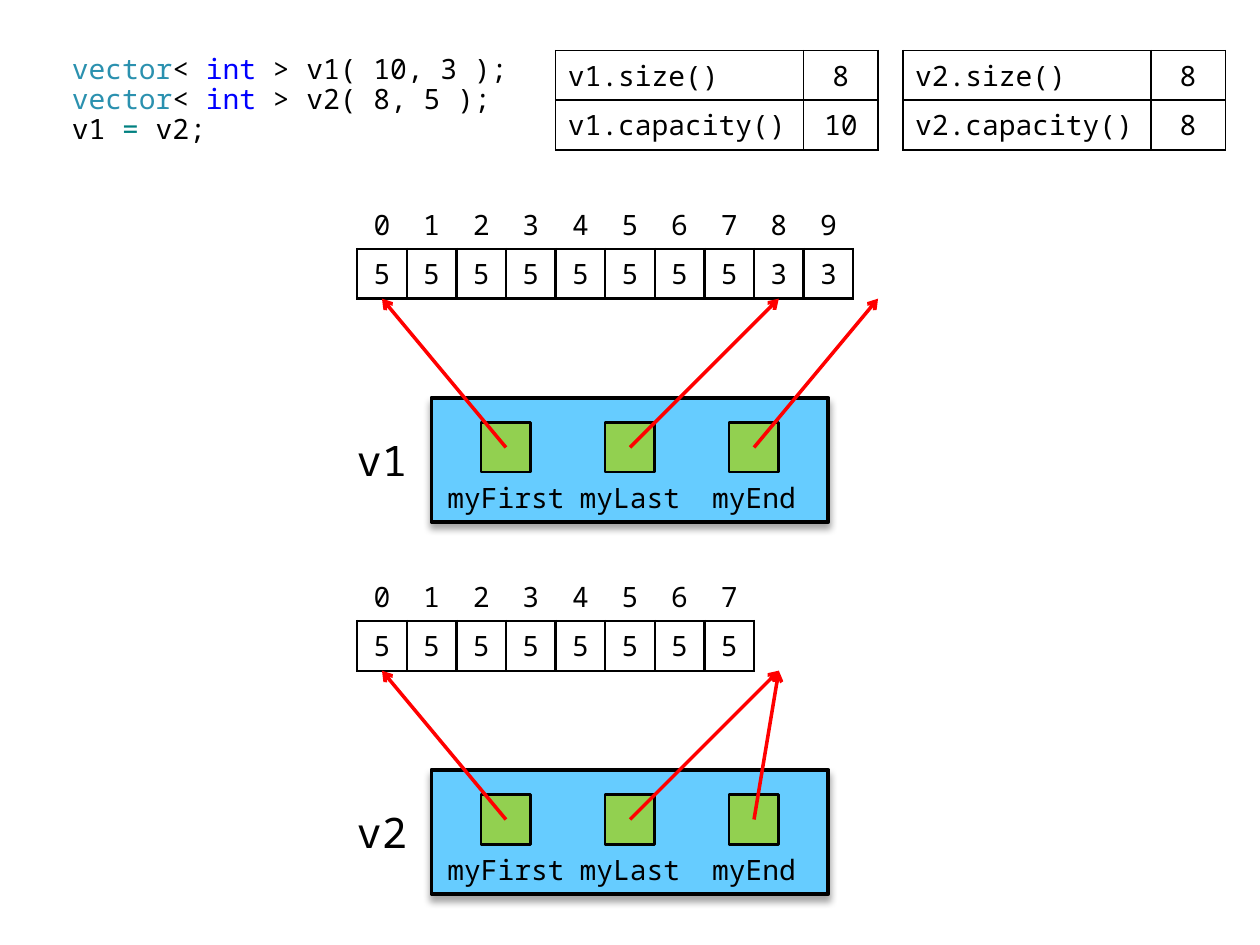
from lxml.etree import SubElement
from pptx import Presentation
from pptx.dml.color import RGBColor
from pptx.enum.shapes import MSO_CONNECTOR, MSO_SHAPE
from pptx.enum.text import MSO_ANCHOR, PP_ALIGN
from pptx.oxml import parse_xml
from pptx.oxml.ns import nsdecls, qn
from pptx.util import Cm, Pt

FONT = "Noto Sans Mono"
COLORS = {
    "text": "000000", "type": "2B91AF", "keyword": "0000FF", "operator": "008080",
    "line": "000000", "object": "66CCFF", "pointer": "92D050", "arrow": "FF0000",
}
CODE = [
    [("vector", "type"), ("< ", "text"), ("int", "keyword"), (" > v1( 10, 3 );", "text")],
    [("vector", "type"), ("< ", "text"), ("int", "keyword"), (" > v2( 8, 5 );", "text")],
    [("v1 ", "text"), ("= ", "operator"), ("v2;", "text")],
]
VECTORS = [
    ("v1", 4.02, [5] * 8 + [3] * 2, 10, 11.2),
    ("v2", 11.52, [5] * 8, 8, 18.2),
]
SIZE = 8
ARRAY_LEFT = 7.2
OBJECT_LEFT = 8.7


def rgb(name):
    return RGBColor.from_string(COLORS[name])


def write(tf, lines, size=16, align=PP_ALIGN.CENTER, spacing=None, inset=(0.25, 0.13)):
    tf.word_wrap = True
    tf.vertical_anchor = MSO_ANCHOR.MIDDLE
    tf.margin_left = tf.margin_right = Cm(inset[0])
    tf.margin_top = tf.margin_bottom = Cm(inset[1])
    for i, line in enumerate(lines):
        p = tf.add_paragraph() if i else tf.paragraphs[0]
        p.alignment = align
        p.line_spacing = spacing
        for text, color in line:
            r = p.add_run()
            r.text = text
            r.font.name = FONT
            r.font.size = Pt(size)
            r.font.color.rgb = rgb(color)


def add_text(s, lines, x, y, w, h, **fmt):
    sp = s.shapes.add_textbox(Cm(x), Cm(y), Cm(w), Cm(h))
    write(sp.text_frame, lines, **fmt)


def add_box(s, kind, x, y, w, h, fill, width):
    sp = s.shapes.add_shape(kind, Cm(x), Cm(y), Cm(w), Cm(h))
    sp.shadow.inherit = False
    sp.fill.solid()
    sp.fill.fore_color.rgb = rgb(fill)
    sp.line.color.rgb = rgb("line")
    sp.line.width = Pt(width)
    return sp


def add_shadow(sp):
    effects = sp._element.spPr.find(qn("a:effectLst"))
    effects.append(parse_xml(
        f'<a:outerShdw {nsdecls("a")} blurRad="{Pt(4)}" dist="{Pt(3)}" dir="5400000" '
        'rotWithShape="0"><a:srgbClr val="000000"><a:alpha val="35000"/>'
        '</a:srgbClr></a:outerShdw>'))


def add_arrow(s, x1, y1, x2, y2):
    c = s.shapes.add_connector(MSO_CONNECTOR.STRAIGHT, Cm(x1), Cm(y1), Cm(x2), Cm(y2))
    c.line.color.rgb = rgb("arrow")
    c.line.width = Pt(2)
    SubElement(c.line._get_or_add_ln(), qn("a:tailEnd"), type="arrow")
    SubElement(c._element.spPr, qn("a:effectLst"))


def set_borders(cell, sides, width):
    tcPr = cell._tc.get_or_add_tcPr()
    for side in "LRTB":
        ln = SubElement(tcPr, qn(f"a:ln{side}"), w=str(Pt(width)))
        if side in sides:
            fill = SubElement(ln, qn("a:solidFill"))
            SubElement(fill, qn("a:srgbClr"), val=COLORS["line"])
        else:
            SubElement(ln, qn("a:noFill"))


def add_grid(s, rows, x, y, widths, borders, width, aligns, inset):
    tbl = s.shapes.add_table(len(rows), len(widths), Cm(x), Cm(y),
                             Cm(sum(widths)), Cm(len(rows))).table
    tbl.first_row = tbl.horz_banding = False
    for col, w in zip(tbl.columns, widths):
        col.width = Cm(w)
    for i, row in enumerate(rows):
        tbl.rows[i].height = Cm(1)
        for j, value in enumerate(row):
            cell = tbl.cell(i, j)
            set_borders(cell, borders[i], width)
            cell.fill.background()
            cell.vertical_anchor = MSO_ANCHOR.MIDDLE
            cell.margin_left = cell.margin_right = Cm(inset)
            cell.margin_top = cell.margin_bottom = Cm(0.1)
            p = cell.text_frame.paragraphs[0]
            p.alignment = aligns[j]
            r = p.add_run()
            r.text = str(value)
            r.font.name = FONT
            r.font.size = Pt(16)
            r.font.color.rgb = rgb("text")


def add_size_table(s, name, capacity, x):
    rows = [(f"{name}.size()", SIZE), (f"{name}.capacity()", capacity)]
    add_grid(s, rows, x, 1.02, [5, 1.5], ["LRTB", "LRTB"], 1,
             [PP_ALIGN.LEFT, PP_ALIGN.CENTER], 0.25)


def add_vector(s, name, top, values):
    n = len(values)
    add_grid(s, [range(n), values], ARRAY_LEFT, top, [1] * n, ["B", "LRTB"], 1.5,
             [PP_ALIGN.CENTER] * n, 0.15)
    add_text(s, [[(name, "text")]], 6.7, top + 4.5, 2, 1.5, size=24)
    add_shadow(add_box(s, MSO_SHAPE.FLOWCHART_PROCESS, OBJECT_LEFT, top + 4, 8, 2.5,
                       "object", 2.25))
    pointers = [("myFirst", 0), ("myLast", SIZE), ("myEnd", n)]
    for i, (label, _) in enumerate(pointers):
        x = OBJECT_LEFT + 2.5 * i
        add_box(s, MSO_SHAPE.RECTANGLE, x + 1, top + 4.5, 1, 1, "pointer", 1.5)
        add_text(s, [[(label, "text")]], x, top + 5.5, 3, 1)
    for i, (_, index) in enumerate(pointers):
        add_arrow(s, OBJECT_LEFT + 2.5 * i + 1.5, top + 5,
                  ARRAY_LEFT + index + 0.5, top + 2)


def main():
    prs = Presentation()
    prs.slide_width, prs.slide_height = Cm(25.4), Cm(19.05)
    s = prs.slides.add_slide(prs.slide_layouts[6])
    add_text(s, CODE, 1.2, 0.53, 9.5, 3, align=PP_ALIGN.LEFT, spacing=0.9)
    for name, top, values, capacity, table_left in VECTORS:
        add_size_table(s, name, capacity, table_left)
        add_vector(s, name, top, values)
    prs.save("out.pptx")


if __name__ == "__main__":
    main()
